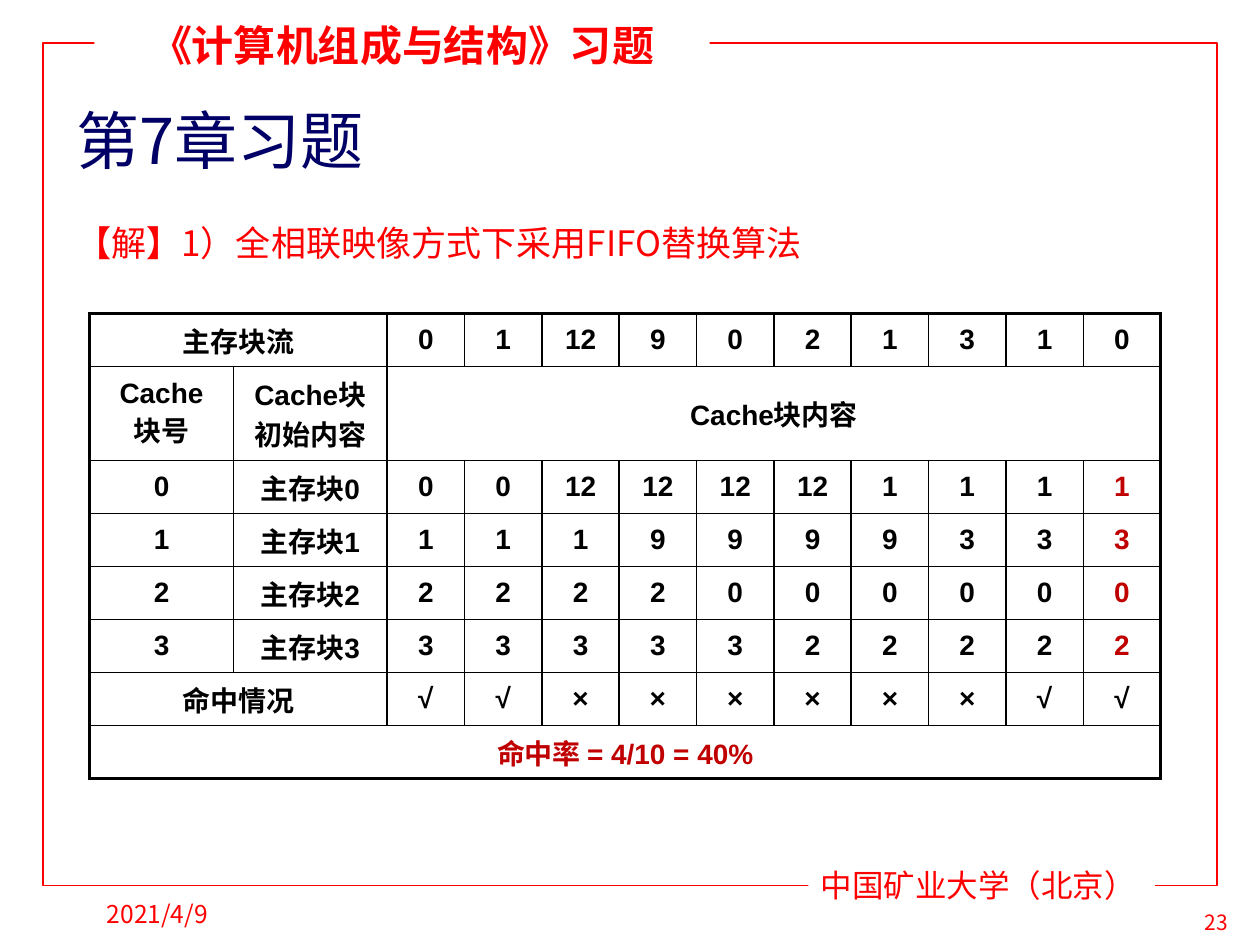
from lxml import etree
from pptx import Presentation
from pptx.dml.color import RGBColor
from pptx.enum.shapes import MSO_SHAPE as SHAPE
from pptx.enum.text import MSO_ANCHOR as ANCHOR, PP_ALIGN as ALIGN
from pptx.oxml.ns import qn
from pptx.util import Pt

RED = RGBColor(0xFF, 0, 0)
DARK_RED = RGBColor(0xC0, 0, 0)
NAVY = RGBColor(0, 0, 0x66)
BLACK = RGBColor(0, 0, 0)
WHITE = RGBColor(0xFF, 0xFF, 0xFF)
NOTO, TIMES, ARIAL = "Noto Sans CJK SC", "Times New Roman", "Arial"

CACHE_ROWS = [
    ["主存块流", "", "0", "1", "12", "9", "0", "2", "1", "3", "1", "0"],
    ["Cache\n块号", "Cache块\n初始内容", "Cache块内容"] + [""] * 9,
    ["0", "主存块0", "0", "0", "12", "12", "12", "12", "1", "1", "1", "1"],
    ["1", "主存块1", "1", "1", "1", "9", "9", "9", "9", "3", "3", "3"],
    ["2", "主存块2", "2", "2", "2", "2", "0", "0", "0", "0", "0", "0"],
    ["3", "主存块3", "3", "3", "3", "3", "3", "2", "2", "2", "2", "2"],
    ["命中情况", "", "√", "√", "×", "×", "×", "×", "×", "×", "√", "√"],
    ["命中率 = 4/10 = 40%"] + [""] * 11,
]
SPANS = {(0, 0): 2, (1, 2): 10, (6, 0): 2, (7, 0): 12}


def add_run(p, text, size, color, font=NOTO, bold=False):
    r = p.add_run()
    r.text = text
    r.font.size, r.font.bold, r.font.name = Pt(size), bold, font
    r.font.color.rgb = color
    ea = etree.SubElement(r._r.get_or_add_rPr(), qn("a:ea"))
    ea.set("typeface", NOTO)


def add_label(slide, box, runs, size, color, font=NOTO, align=ALIGN.LEFT,
              anchor=ANCHOR.TOP, fill=None, line_spacing=None):
    """Text box holding one paragraph of (text, bold) runs."""
    sp = slide.shapes.add_textbox(*map(Pt, box))
    if fill is not None:
        sp.fill.solid()
        sp.fill.fore_color.rgb = fill
    tf = sp.text_frame
    tf.word_wrap = True
    tf.vertical_anchor = anchor
    p = tf.paragraphs[0]
    p.alignment = align
    if line_spacing:
        p.line_spacing = line_spacing
    for text, bold in runs:
        add_run(p, text, size, color, font, bold)


def add_frame(slide, left, top, width, height):
    # Red outline, interrupted by the course and school names
    sp = slide.shapes.add_shape(SHAPE.RECTANGLE, Pt(left), Pt(top), Pt(width), Pt(height))
    sp.shadow.inherit = False
    sp.fill.background()
    sp.line.color.rgb = RED
    sp.line.width = Pt(1)
    right, bottom = left + width, top + height

    add_label(slide, (left + 29.5, top - 17, 351.5, 36), [("《计算机组成与结构》习题", True)],
              24, RED, TIMES, ALIGN.CENTER, fill=WHITE)
    add_label(slide, (right - 233.5, bottom - 14.5, 198, 29), [("中国矿业大学（北京）", False)],
              18, RED, TIMES, fill=WHITE)
    # Date and page number
    add_label(slide, (left + 29.5, bottom - 2, 150, 36), [("2021/4/9", False)],
              14, RED, anchor=ANCHOR.MIDDLE)
    add_label(slide, (right - 24, bottom + 10, 47, 22), [("23", False)],
              12, RED, align=ALIGN.CENTER)


def add_heading(slide, left, top, width):
    add_label(slide, (left, top, width, 51), [("第7章习题", False)],
              36, NAVY, anchor=ANCHOR.MIDDLE)
    add_label(slide, (left, top + 57, width, 371.5),
              [("【", True), ("解", False), ("】", True),
               ("1）全相联映像方式下采用FIFO替换算法", False)],
              20, RED, line_spacing=1.5)


def set_borders(cell, widths):
    """Black borders, widths in points in the order left, right, top, bottom."""
    tcPr = cell._tc.get_or_add_tcPr()
    for side, width in zip("LRTB", widths):
        ln = etree.SubElement(tcPr, qn(f"a:ln{side}"), w=str(Pt(width)))
        fill = etree.SubElement(ln, qn("a:solidFill"))
        etree.SubElement(fill, qn("a:srgbClr"), val=str(BLACK))


def add_cache_table(slide, left, top, width):
    n_rows, n_cols = len(CACHE_ROWS), len(CACHE_ROWS[0])
    heights = [30.3, 53.7] + [30.3] * (n_rows - 2)
    labels = [82, 88]
    widths = labels + [(width - sum(labels)) / 10] * 10
    table = slide.shapes.add_table(n_rows, n_cols, Pt(left), Pt(top),
                                   Pt(width), Pt(sum(heights))).table
    table.first_row = table.horz_banding = False
    for row, height in zip(table.rows, heights):
        row.height = Pt(height)
    for col, col_width in zip(table.columns, widths):
        col.width = Pt(col_width)
    for (i, j), span in SPANS.items():
        table.cell(i, j).merge(table.cell(i, j + span - 1))

    for i, texts in enumerate(CACHE_ROWS):
        for j, text in enumerate(texts):
            cell = table.cell(i, j)
            end = j + SPANS.get((i, j), 1) - 1
            outer = (j == 0, end == n_cols - 1, i == 0, i == n_rows - 1)
            set_borders(cell, [2.25 if edge else 1 for edge in outer])
            cell.fill.background()
            cell.vertical_anchor = ANCHOR.MIDDLE
            p = cell.text_frame.paragraphs[0]
            p.alignment = ALIGN.CENTER
            # Final cache contents and the hit rate stand out
            final = i == n_rows - 1 or (2 <= i <= 5 and j == n_cols - 1)
            for k, line in enumerate(text.split("\n") if text else []):
                if k:
                    p.add_line_break()
                add_run(p, line, 16, DARK_RED if final else BLACK, ARIAL, True)


def main():
    prs = Presentation()
    prs.slide_width, prs.slide_height = Pt(720), Pt(540)
    slide = prs.slides.add_slide(prs.slide_layouts[6])
    add_frame(slide, 24.5, 24.5, 671, 481.5)
    add_heading(slide, 36.5, 54, 652)
    add_cache_table(slide, 51.3, 179.2, 612)
    prs.save("out.pptx")


if __name__ == "__main__":
    main()
